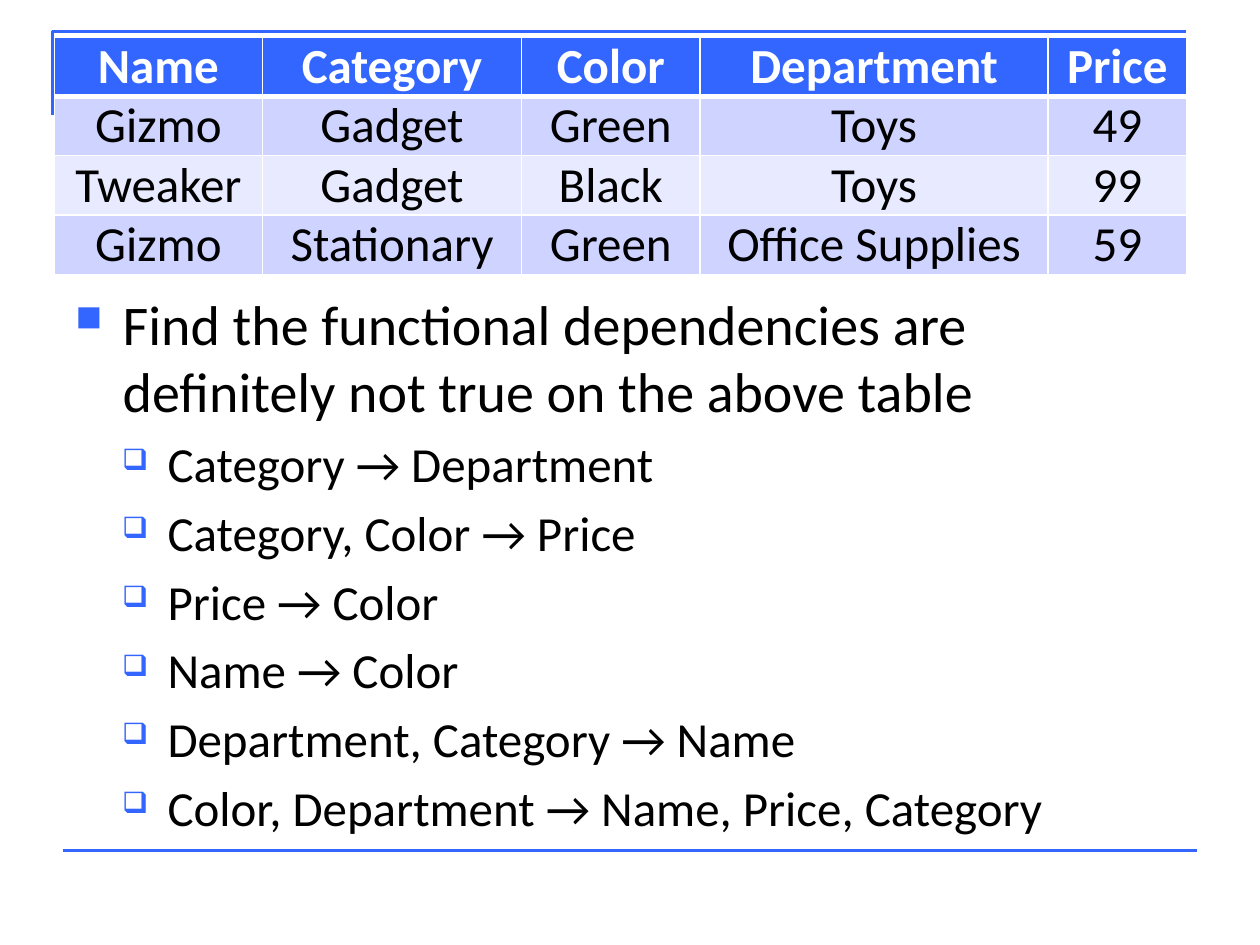
from lxml.etree import SubElement
from pptx import Presentation
from pptx.dml.color import RGBColor
from pptx.enum.shapes import MSO_CONNECTOR
from pptx.enum.text import PP_ALIGN
from pptx.oxml.ns import qn
from pptx.util import Pt

BLUE = RGBColor(0x33, 0x66, 0xFF)
BAND_DARK = RGBColor(0xCE, 0xD3, 0xFF)
BAND_LIGHT = RGBColor(0xE8, 0xEA, 0xFF)
WHITE = RGBColor(0xFF, 0xFF, 0xFF)
BLACK = RGBColor(0, 0, 0)

COLUMNS = [119, 148, 102, 199, 79]
ROW_HEIGHT = 34
PRODUCTS = [
    ["Name", "Category", "Color", "Department", "Price"],
    ["Gizmo", "Gadget", "Green", "Toys", "49"],
    ["Tweaker", "Gadget", "Black", "Toys", "99"],
    ["Gizmo", "Stationary", "Green", "Office Supplies", "59"],
]
QUESTION = ("Find the functional dependencies are definitely not true "
            "on the above table")
DEPENDENCIES = [
    "Category → Department",
    "Category, Color → Price",
    "Price → Color",
    "Name → Color",
    "Department, Category → Name",
    "Color, Department → Name, Price, Category",
]


def add_text(p, text, size=28, color=BLACK, bold=False, align=PP_ALIGN.LEFT):
    p.alignment = align
    r = p.add_run()
    r.text = text
    r.font.name = "Calibri"
    r.font.size = Pt(size)
    r.font.bold = bold
    r.font.color.rgb = color


def add_bullet(p, char, percent, left, hanging):
    pPr = p._p.get_or_add_pPr()
    pPr.set("marL", str(Pt(left)))
    pPr.set("indent", str(-Pt(hanging)))
    before = SubElement(pPr, qn("a:spcBef"))
    SubElement(before, qn("a:spcPct"), val="20000")
    color = SubElement(pPr, qn("a:buClr"))
    SubElement(color, qn("a:srgbClr"), val=str(BLUE))
    SubElement(pPr, qn("a:buSzPct"), val=str(percent * 1000))
    SubElement(pPr, qn("a:buChar"), char=char)


def set_border(cell, side, width):
    ln = SubElement(cell._tc.get_or_add_tcPr(), qn("a:" + side), w=str(Pt(width)))
    fill = SubElement(ln, qn("a:solidFill"))
    SubElement(fill, qn("a:srgbClr"), val=str(WHITE))


def add_frame(s, left, top, width, height):
    # Corner line at the top left
    builder = s.shapes.build_freeform(Pt(left), Pt(top + 48))
    builder.add_line_segments(
        [(Pt(left), Pt(top)), (Pt(left + width), Pt(top))], close=False)
    corner = builder.convert_to_shape()
    corner.shadow.inherit = False
    corner.fill.background()
    # Rule at the foot, shifted slightly right
    x, y = left + 6, top + height
    rule = s.shapes.add_connector(
        MSO_CONNECTOR.STRAIGHT, Pt(x), Pt(y), Pt(x + width), Pt(y))
    SubElement(rule._element.spPr, qn("a:effectLst"))
    for sp in (corner, rule):
        sp.line.color.rgb = BLUE
        sp.line.width = Pt(1.5)
    # The effect list must follow the line
    spPr = rule._element.spPr
    spPr.append(spPr.find(qn("a:effectLst")))


def add_products(s, left, top):
    table = s.shapes.add_table(
        len(PRODUCTS), len(COLUMNS), Pt(left), Pt(top),
        Pt(sum(COLUMNS)), Pt(ROW_HEIGHT * len(PRODUCTS))).table
    for column, width in zip(table.columns, COLUMNS):
        column.width = Pt(width)
    for i, values in enumerate(PRODUCTS):
        header = i == 0
        table.rows[i].height = Pt(ROW_HEIGHT)
        band = BLUE if header else BAND_DARK if i % 2 else BAND_LIGHT
        for j, value in enumerate(values):
            cell = table.cell(i, j)
            cell.margin_left = cell.margin_right = 0
            cell.margin_top = cell.margin_bottom = 0
            for side in ("lnL", "lnR", "lnT", "lnB"):
                heavy = (header and side == "lnB") or (i == 1 and side == "lnT")
                set_border(cell, side, 3 if heavy else 1)
            cell.fill.solid()
            cell.fill.fore_color.rgb = band
            add_text(cell.text_frame.paragraphs[0], value, bold=header,
                     color=WHITE if header else BLACK, align=PP_ALIGN.CENTER)


def add_question(s, left, top, width, height):
    tf = s.shapes.add_textbox(Pt(left), Pt(top), Pt(width), Pt(height)).text_frame
    tf.word_wrap = True
    p = tf.paragraphs[0]
    add_bullet(p, "■", 65, 27, 27)
    add_text(p, QUESTION, size=32)
    for dependency in DEPENDENCIES:
        p = tf.add_paragraph()
        p.level = 1
        add_bullet(p, "❑", 60, 52.7, 26)
        add_text(p, dependency)


prs = Presentation()
prs.slide_width, prs.slide_height = Pt(720), Pt(540)
s = prs.slides.add_slide(prs.slide_layouts[6])
add_frame(s, 30, 18, 648, 468)
add_question(s, 36, 162, 648, 320)
add_products(s, 31, 21)
prs.save("out.pptx")
